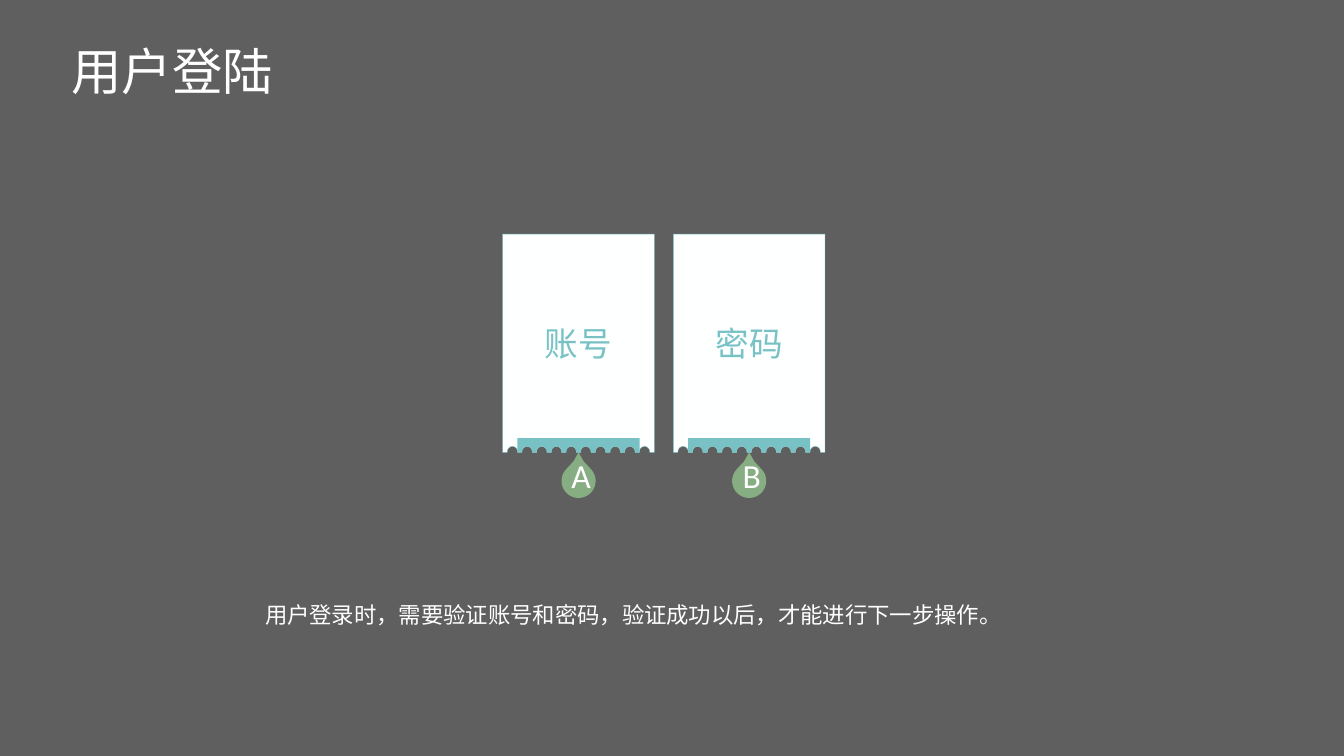
"""Build the user login slide: two torn tickets with drop markers and a note."""
import math

import pptx
import pptx.dml.color
import pptx.enum.text
import pptx.oxml
import pptx.oxml.ns
import pptx.util

Cm = pptx.util.Cm
Anchor = pptx.enum.text.MSO_ANCHOR
Align = pptx.enum.text.PP_ALIGN

theme = {
    "background": "5F5F5F", "text": "FFFFFF", "paper": "FEFFFF",
    "teal": "78C2C6", "green": "87AD83",
    "title_size": 36, "ticket_size": 24, "note_size": 16, "edge_width": 0.25,
    "latin": "Calibri", "chinese": "Noto Sans CJK SC",
}


def write(target, wording, size, colour, frame_format, paragraph_format, latin="latin"):
    frame = target.text_frame
    for key, value in frame_format.items():
        setattr(frame, key, value)
    paragraph = frame.paragraphs[0]
    for key, value in paragraph_format.items():
        setattr(paragraph, key, value)
    run = paragraph.add_run()
    run.text = wording
    font_format = {"name": theme[latin], "size": pptx.util.Pt(theme[size])}
    for key, value in font_format.items():
        setattr(run.font, key, value)
    run.font.color.rgb = pptx.dml.color.RGBColor.from_string(theme[colour])
    east_asian = pptx.oxml.parse_xml(
        f'<a:ea {pptx.oxml.ns.nsdecls("a")} typeface="{theme["chinese"]}"/>')
    run.font._element.find(pptx.oxml.ns.qn("a:latin")).addnext(east_asian)


def draw(points, fill, edge=None):
    corners = [(Cm(x), Cm(y)) for x, y in points]
    builder = slide.shapes.build_freeform(*corners[0], scale=1.0)
    builder.add_line_segments(corners[1:], close=True)
    outline = builder.convert_to_shape()
    outline.shadow.inherit = False
    outline.fill.solid()
    outline.fill.fore_color.rgb = pptx.dml.color.RGBColor.from_string(theme[fill])
    if edge:
        outline.line.color.rgb = pptx.dml.color.RGBColor.from_string(theme[edge])
        outline.line.width = pptx.util.Pt(theme["edge_width"])
    else:
        outline.line.fill.background()
    return outline


deck = pptx.Presentation()
deck.slide_width, deck.slide_height = Cm(33.87), Cm(19.05)
slide = deck.slides.add_slide(deck.slide_layouts[6])
slide.background.fill.solid()
slide.background.fill.fore_color.rgb = pptx.dml.color.RGBColor.from_string(theme["background"])

title = slide.shapes.add_textbox(Cm(1.55), Cm(0.48), Cm(30.71), Cm(2.21))
write(title, "用户登陆", "title_size", "text",
      {"word_wrap": True, "vertical_anchor": Anchor.BOTTOM},
      {"line_spacing": 0.9}, "chinese")

first_middle, ticket_pitch = 14.58, 4.3
ticket_top, band_top, torn_edge = 5.9, 11.04, 11.4
hole_pitch, hole_radius, hole_level = 0.37, 0.13, 11.38
drop_radius, drop_level = 0.43, 12.12

drop_text = {"word_wrap": False, "vertical_anchor": Anchor.BOTTOM,
             "margin_left": Cm(0.13), "margin_right": 0,
             "margin_top": 0, "margin_bottom": Cm(0.08)}
ticket_text = {"word_wrap": True, "vertical_anchor": Anchor.MIDDLE,
               **{f"margin_{side}": Cm(0.2) for side in ("left", "right", "top", "bottom")}}
centred = {"alignment": Align.CENTER}

for number, (letter, field) in enumerate([("A", "账号"), ("B", "密码")]):
    middle = first_middle + number * ticket_pitch

    drop = [(middle, torn_edge), (middle + 0.13, 11.63)]
    for degrees in range(-45, 226, 10):
        angle = math.radians(degrees)
        drop.append((middle + drop_radius * math.cos(angle),
                     drop_level + drop_radius * math.sin(angle)))
    drop.append((middle - 0.13, 11.63))
    write(draw(drop, "green"), letter, "ticket_size", "text", drop_text, centred)

    for width, top, holes, fill, edge, label in [
        (3.82, ticket_top, 10, "paper", "teal", field),
        (3.08, band_top, 8, "teal", None, None),
    ]:
        left, right = middle - width / 2, middle + width / 2
        piece = [(left, top), (right, top), (right, torn_edge)]
        for hole in reversed(range(holes)):
            centre = middle + (hole - (holes - 1) / 2) * hole_pitch
            piece.append((centre + hole_radius, torn_edge))
            for degrees in range(0, 181, 15):
                angle = math.radians(degrees)
                piece.append((centre + hole_radius * math.cos(angle),
                              hole_level - hole_radius * math.sin(angle)))
            piece.append((centre - hole_radius, torn_edge))
        piece.append((left, torn_edge))
        paper = draw(piece, fill, edge)
        if label:
            write(paper, label, "ticket_size", "teal", ticket_text, centred)

note = slide.shapes.add_textbox(Cm(6.38), Cm(13.72), Cm(21.08), Cm(3.33))
write(note, "用户登录时，需要验证账号和密码，验证成功以后，才能进行下一步操作。",
      "note_size", "text",
      {"word_wrap": True, "vertical_anchor": Anchor.MIDDLE,
       **{f"margin_{side}": Cm(0.3) for side in ("left", "right", "top", "bottom")}},
      {"alignment": Align.JUSTIFY, "line_spacing": 1.3})

deck.save("out.pptx")
